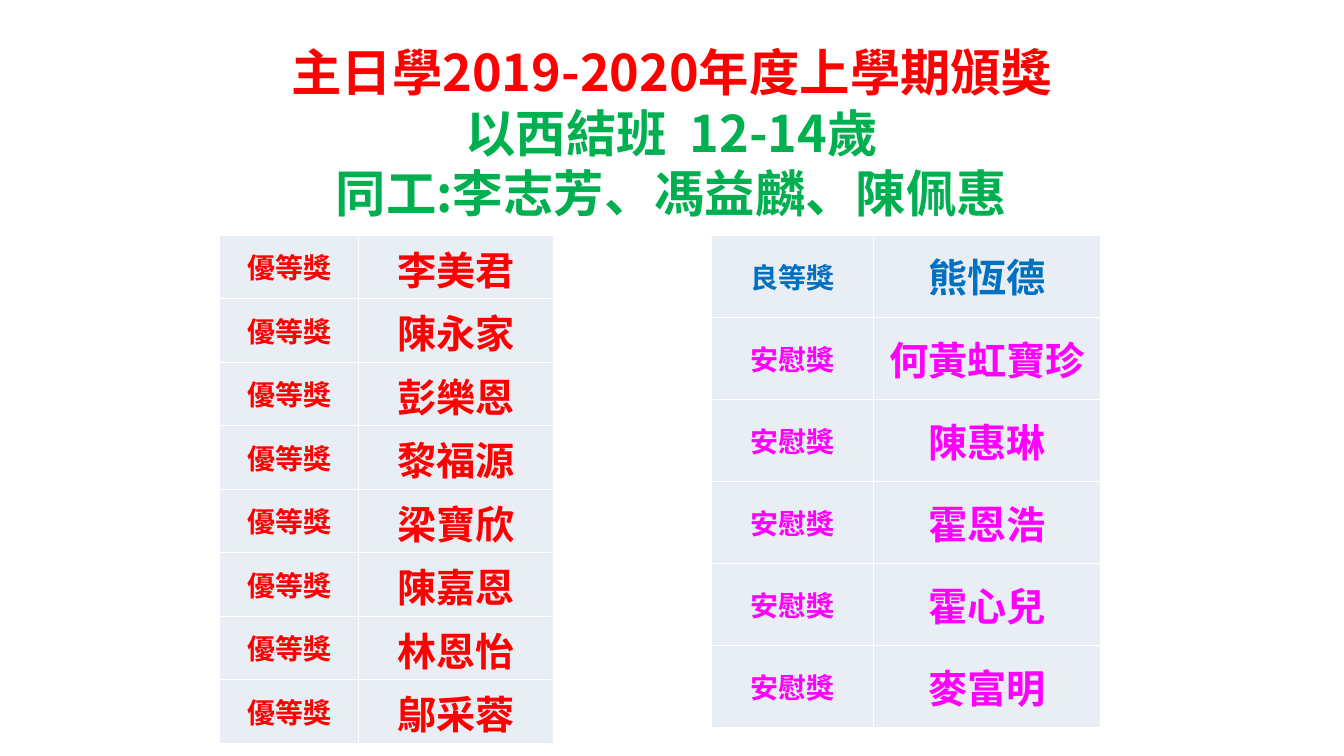
from dataclasses import dataclass

from lxml.etree import SubElement
from pptx import Presentation
from pptx.dml.color import RGBColor
from pptx.enum.text import MSO_ANCHOR, PP_ALIGN
from pptx.oxml.ns import qn
from pptx.util import Inches, Pt


@dataclass(frozen=True)
class Theme:
    red: str = "FF0000"
    green: str = "00B050"
    blue: str = "0070C0"
    pink: str = "FF00FF"
    cell: str = "E9EDF4"
    border: str = "FFFFFF"
    title_font: str = "Noto Sans CJK SC"
    table_font: str = "Calibri"
    title_size: int = 36
    award_size: int = 20
    name_size: int = 28


theme = Theme()


def write(paragraph, text, size, font_name, color):
    """Fill a paragraph with one bold, centred run."""
    paragraph.alignment = PP_ALIGN.CENTER
    run = paragraph.add_run()
    run.text = text
    for attribute, value in {"size": Pt(size), "name": font_name, "bold": True}.items():
        setattr(run.font, attribute, value)
    run.font.color.rgb = RGBColor.from_string(color)


def add_borders(cell):
    properties = cell._tc.get_or_add_tcPr()
    for side in ("L", "R", "T", "B"):
        line = SubElement(properties, qn(f"a:ln{side}"), w=str(Pt(0.45)))
        fill = SubElement(line, qn("a:solidFill"))
        SubElement(fill, qn("a:srgbClr"), val=theme.border)


presentation = Presentation()
presentation.slide_width = Inches(13.34)
presentation.slide_height = Inches(7.5)
slide = presentation.slides.add_slide(presentation.slide_layouts[6])

# Title
title_lines = [
    ("主日學2019-2020年度上學期頒獎", theme.red),
    ("以西結班  12-14歲", theme.green),
    ("同工:李志芳、馮益麟、陳佩惠", theme.green),
]
title = slide.shapes.add_textbox(Inches(0), Inches(0.36), Inches(13.33), Inches(3.1))
title_frame = title.text_frame
title_frame.word_wrap = True
for index, (text, color) in enumerate(title_lines):
    paragraph = title_frame.add_paragraph() if index else title_frame.paragraphs[0]
    write(paragraph, text, theme.title_size, theme.title_font, color)

# Award tables: left, column widths, row height, groups of winners
first_prize = ("優等獎", theme.red, [
    "李美君", "陳永家", "彭樂恩", "黎福源", "梁寶欣", "陳嘉恩", "林恩怡", "鄔采蓉"])
second_prize = ("良等獎", theme.blue, ["熊恆德"])
consolation_prize = ("安慰獎", theme.pink, [
    "何黃虹寶珍", "陳惠琳", "霍恩浩", "霍心兒", "麥富明"])
award_tables = [
    (2.18, (1.38, 1.93), 0.63, [first_prize]),
    (7.06, (1.61, 2.25), 0.815, [second_prize, consolation_prize]),
]
cell_format = {
    "vertical_anchor": MSO_ANCHOR.MIDDLE,
    "margin_left": Inches(0.01),
    "margin_right": Inches(0.01),
    "margin_top": Inches(0.05),
    "margin_bottom": Inches(0.05),
}

for left, widths, row_height, groups in award_tables:
    winners = [(award, name, color) for award, color, names in groups for name in names]
    table = slide.shapes.add_table(
        len(winners), len(widths), Inches(left), Inches(2.33),
        Inches(sum(widths)), Inches(row_height * len(winners))).table
    table.first_row = False
    table.horz_banding = False
    for column, width in zip(table.columns, widths):
        column.width = Inches(width)
    for row, (award, name, color) in zip(table.rows, winners):
        row.height = Inches(row_height)
        entries = [(award, theme.award_size), (name, theme.name_size)]
        for cell, (text, size) in zip(row.cells, entries):
            for attribute, value in cell_format.items():
                setattr(cell, attribute, value)
            add_borders(cell)
            cell.fill.solid()
            cell.fill.fore_color.rgb = RGBColor.from_string(theme.cell)
            write(cell.text_frame.paragraphs[0], text, size, theme.table_font, color)

presentation.save("out.pptx")
